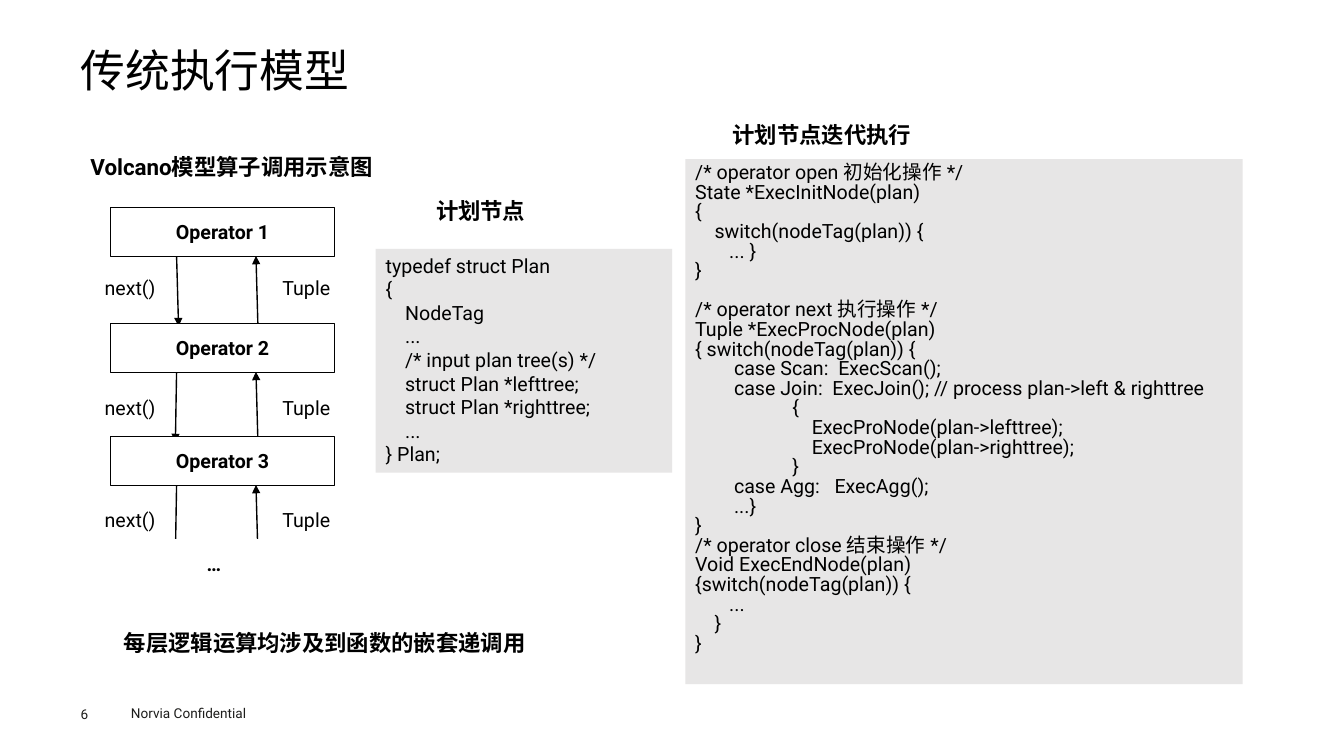
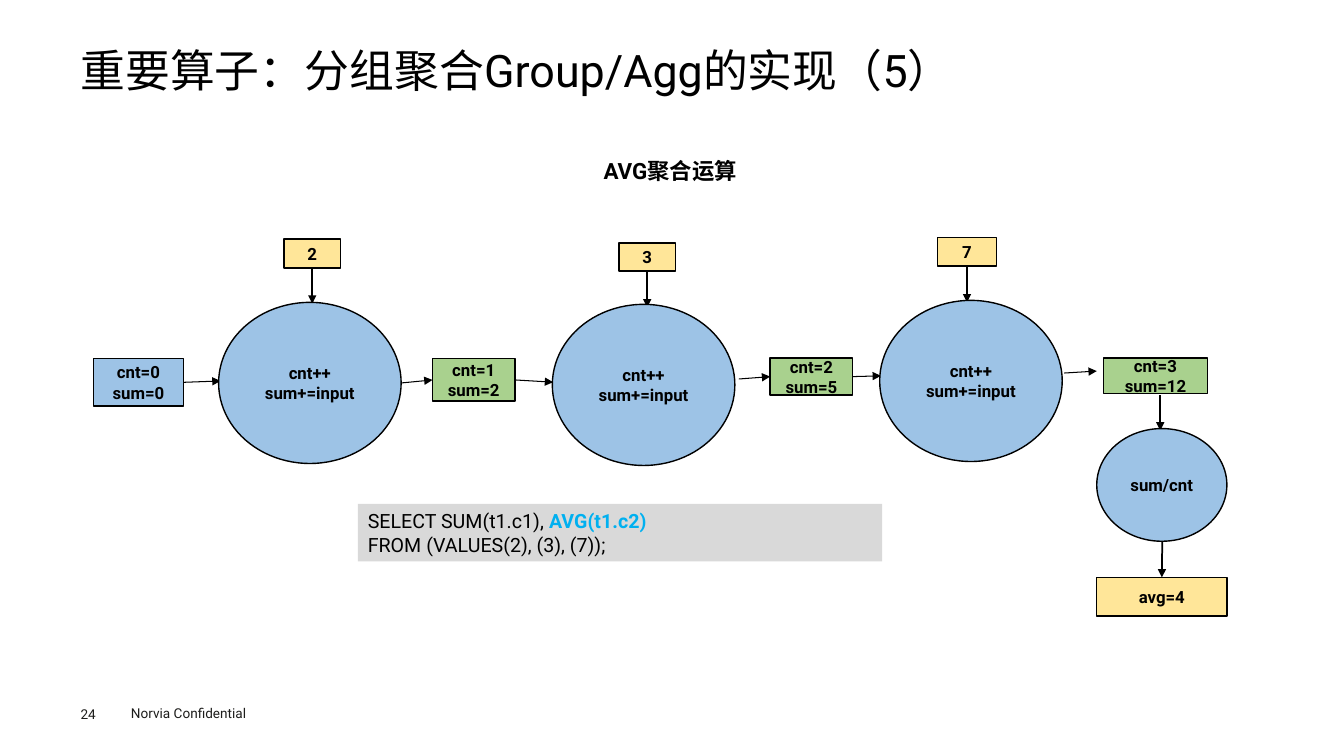
import lxml.etree
import pptx
import pptx.dml.color
import pptx.enum.shapes
import pptx.enum.text
import pptx.oxml.ns
import pptx.util

Cm = pptx.util.Cm
Pt = pptx.util.Pt
RGBColor = pptx.dml.color.RGBColor
Shape = pptx.enum.shapes.MSO_SHAPE
Align = pptx.enum.text.PP_ALIGN
Anchor = pptx.enum.text.MSO_ANCHOR

BLACK = RGBColor(0x00, 0x00, 0x00)
WHITE = RGBColor(0xFF, 0xFF, 0xFF)
FOOTER_GREY = RGBColor(0x1D, 0x1D, 0x1B)
CODE_GREY = RGBColor(0xE7, 0xE6, 0xE6)
QUERY_GREY = RGBColor(0xD9, 0xD9, 0xD9)
BLUE = RGBColor(0x9D, 0xC3, 0xE6)
GREEN = RGBColor(0xA9, 0xD1, 0x8E)
YELLOW = RGBColor(0xFF, 0xE6, 0x99)
CYAN = RGBColor(0x00, 0xB0, 0xF0)

FONT = "Roboto"
TITLE = {"size": Pt(32), "color": BLACK}
HEADING = {"size": Pt(16), "color": BLACK, "bold": True}
BODY = {"size": Pt(14), "color": BLACK}
BODY_BOLD = {**BODY, "bold": True}
NODE = {"size": Pt(12), "color": BLACK, "bold": True}
FOOTER = {"size": Pt(9.7), "color": FOOTER_GREY}
CENTRED = {"alignment": Align.CENTER}
TIGHT = {"line_spacing": Pt(14)}

TOP, LEFT, BOTTOM, RIGHT = range(4)
FOOTER_TEXT = "Norvia Confidential"

# Slide 6: places are left, top, width, height in centimetres
VOLCANO_TITLE = "传统执行模型"
VOLCANO_HEADINGS = [
    ("Volcano模型算子调用示意图", (2.03, 3.73, 8.79, 0.94)),
    ("计划节点", (10.74, 4.85, 5.64, 0.94)),
    ("计划节点迭代执行", (18.21, 2.92, 5.64, 0.94)),
    ("每层逻辑运算均涉及到函数的嵌套递调用", (2.87, 15.72, 10.85, 0.94)),
]
# name, box top, label top, x where the call arrow ends
OPERATORS = [
    ("Operator 1", 5.23, 6.76, 4.5),
    ("Operator 2", 8.15, 9.78, 4.42),
    ("Operator 3", 11.0, 12.62, 4.42),
]
OPERATOR_LEFT, OPERATOR_WIDTH, OPERATOR_HEIGHT = 2.79, 5.64, 1.24
ARROW_LENGTH = 1.77
LABEL_SIZE = (2.24, 0.97)
PLAN_PLACE = (9.47, 6.27, 7.47, 5.64)
PLAN_CODE = [
    "typedef struct Plan",
    "{",
    "    NodeTag",
    "    ...",
    "    /* input plan tree(s) */",
    "    struct Plan *lefttree;",
    "    struct Plan *righttree;",
    "    ...",
    "} Plan;",
]
EXEC_PLACE = (17.27, 4.01, 14.05, 13.23)
INIT_CODE = [
    "/* operator open 初始化操作 */",
    "State *ExecInitNode(plan)",
    "{",
    "    switch(nodeTag(plan)) {",
    "       ... }",
    "}",
]
NEXT_AND_CLOSE_CODE = [
    "/* operator next 执行操作 */",
    "Tuple *ExecProcNode(plan)",
    "{ switch(nodeTag(plan)) {",
    "        case Scan:  ExecScan();",
    "        case Join:  ExecJoin(); // process plan->left & righttree",
    "                    {",
    "                        ExecProNode(plan->lefttree);",
    "                        ExecProNode(plan->righttree);",
    "                    }",
    "        case Agg:   ExecAgg();",
    "        ...}",
    "}",
    "/* operator close 结束操作 */",
    "Void ExecEndNode(plan)",
    "{switch(nodeTag(plan)) {",
    "       ...",
    "    }",
    "}",
]

# Slide 24
AVG_TITLE = "重要算子：分组聚合Group/Agg的实现（5）"
AVG_HEADING = ("AVG聚合运算", (14.96, 3.84, 3.96, 0.94))
QUERY_PLACE = (9.02, 12.7, 13.21, 1.45)
QUERY = [
    [("SELECT SUM(t1.c1), ", {}), ("AVG(t1.c2)", {"color": CYAN, "bold": True})],
    "FROM (VALUES(2), (3), (7));",
]
STATE_BOXES = {
    "start": (["cnt=0", "sum=0"], BLUE, (2.36, 9.04, 2.26, 1.19)),
    "state 1": (["cnt=1", "sum=2"], GREEN, (10.9, 9.04, 2.08, 1.07)),
    "state 2": (["cnt=2", "sum=5"], GREEN, (19.41, 9.02, 2.08, 0.94)),
    "state 3": (["cnt=3", "sum=12"], GREEN, (27.81, 9.02, 2.62, 0.89)),
    "input 1": (["2"], YELLOW, (7.16, 6.02, 1.42, 0.74)),
    "input 2": (["3"], YELLOW, (15.6, 6.12, 1.42, 0.71)),
    "input 3": (["7"], YELLOW, (23.62, 5.99, 1.5, 0.71)),
    "result": (["avg=4"], YELLOW, (27.64, 14.55, 3.28, 0.97)),
}
STEP = ["cnt++", "sum+=input"]
CIRCLES = [
    (STEP, (5.51, 7.62, 4.6, 4.06)),
    (STEP, (13.92, 7.67, 4.6, 4.06)),
    (STEP, (22.17, 7.57, 4.6, 4.06)),
    (["sum/cnt"], (27.64, 10.8, 3.28, 2.84)),
]
# An end is a point, or a box name with the side to join
FLOW_ARROWS = [
    (("start", RIGHT), (5.56, 9.6)),
    ((10.11, 9.65), ("state 1", LEFT)),
    (("state 1", RIGHT), (13.94, 9.63)),
    ((18.62, 9.55), ("state 2", LEFT)),
    (("state 2", RIGHT), (22.2, 9.47)),
    ((26.82, 9.4), (27.64, 9.35)),
]
DOWN_ARROWS = [
    (("input 1", BOTTOM), (7.87, 7.65)),
    (("input 2", BOTTOM), (16.31, 7.75)),
    (("input 3", BOTTOM), (24.37, 7.62)),
    ((29.24, 9.96), (29.24, 10.85)),
    ((29.29, 13.64), ("result", TOP)),
]


def add_run(para, text, style):
    span = para.add_run()
    span.text = text
    span.font.name = FONT
    for name, value in style.items():
        if name == "color":
            span.font.color.rgb = value
        else:
            setattr(span.font, name, value)
    east_asian = lxml.etree.SubElement(
        span._r.get_or_add_rPr(), pptx.oxml.ns.qn("a:ea"))
    east_asian.set("typeface", FONT)


def write_lines(box, lines, style, layout=None):
    """Write one paragraph per line; a line is a string or (text, style) runs."""
    frame = box.text_frame
    frame.word_wrap = True
    for index, line in enumerate(lines):
        para = frame.add_paragraph() if index else frame.paragraphs[0]
        for name, value in {"alignment": Align.LEFT, **(layout or {})}.items():
            setattr(para, name, value)
        for text, change in [(line, {})] if isinstance(line, str) else line:
            add_run(para, text, {**style, **change})


def add_text(page, text, place, style, inset=True, layout=None):
    box = page.shapes.add_textbox(*map(Cm, place))
    if not inset:
        for side in ("left", "top", "right", "bottom"):
            setattr(box.text_frame, f"margin_{side}", 0)
    write_lines(box, [text], style, layout)


def add_node(page, lines, place, fill, style, line=None, kind=Shape.RECTANGLE):
    """Add a filled shape with centred text."""
    node = add_panel(page, lines, place, fill, style, CENTRED, kind)
    node.text_frame.vertical_anchor = Anchor.MIDDLE
    if line is not None:
        node.line.color.rgb = line
        node.line.width = Pt(1)
    return node


def add_panel(page, lines, place, fill, style=BODY, layout=None,
              kind=Shape.RECTANGLE):
    """Add a filled shape without outline, its text starting at the top."""
    panel = page.shapes.add_shape(kind, *map(Cm, place))
    panel.shadow.inherit = False
    panel.fill.solid()
    panel.fill.fore_color.rgb = fill
    panel.line.fill.background()
    panel.text_frame.vertical_anchor = Anchor.TOP
    write_lines(panel, lines, style, layout)
    return panel


def add_arrow(page, begin, end, width, boxes=None):
    """Draw an arrow; an end naming one of the boxes is joined to its side."""
    arrow = page.shapes.add_connector(
        pptx.enum.shapes.MSO_CONNECTOR.STRAIGHT, *[
            Cm(0 if isinstance(value, str) else value)
            for value in (*begin, *end)])
    for target, join in ((begin, arrow.begin_connect), (end, arrow.end_connect)):
        if isinstance(target[0], str):
            join(boxes[target[0]], target[1])
    arrow.line.color.rgb = BLACK
    arrow.line.width = Pt(width)
    head = lxml.etree.SubElement(
        arrow.line._get_or_add_ln(), pptx.oxml.ns.qn("a:tailEnd"))
    head.set("type", "triangle")
    lxml.etree.SubElement(arrow._element.spPr, pptx.oxml.ns.qn("a:effectLst"))


def add_page(deck, title, number):
    page = deck.slides.add_slide(deck.slide_layouts[6])
    add_text(page, FOOTER_TEXT, (3.05, 17.65, 4.06, 0.69), FOOTER)
    add_text(page, number, (2.03, 17.78, 1.4, 0.41), FOOTER, inset=False)
    add_text(page, title, (2.03, 1.24, 29.79, 1.37), TITLE, inset=False,
             layout={"line_spacing": 0.9})
    return page


def add_volcano_page(deck):
    page = add_page(deck, VOLCANO_TITLE, "6")
    add_panel(page, PLAN_CODE, PLAN_PLACE, CODE_GREY)
    panel = add_panel(page, INIT_CODE + NEXT_AND_CLOSE_CODE, EXEC_PLACE,
                      CODE_GREY, layout=TIGHT)
    panel.text_frame.paragraphs[len(INIT_CODE)].space_before = Pt(14)
    for text, place in VOLCANO_HEADINGS:
        add_text(page, text, place, HEADING)

    for name, top, label_top, call_end in OPERATORS:
        start = top + OPERATOR_HEIGHT - 0.02
        stop = start + ARROW_LENGTH
        add_arrow(page, (4.45, start), (call_end, stop), 1)
        add_arrow(page, (6.5, stop), (6.45, start), 1)
        for text, left in (("next()", 2.16), ("Tuple", 6.6)):
            add_node(page, [text], (left, label_top, *LABEL_SIZE), WHITE, BODY)
    for name, top, label_top, call_end in OPERATORS:
        place = (OPERATOR_LEFT, top, OPERATOR_WIDTH, OPERATOR_HEIGHT)
        add_node(page, [name], place, WHITE, BODY_BOLD, BLACK)
    add_node(page, ["…"], (2.57, 13.59, OPERATOR_WIDTH, OPERATOR_HEIGHT),
             WHITE, BODY_BOLD, WHITE)


def add_avg_page(deck):
    page = add_page(deck, AVG_TITLE, "24")
    add_panel(page, QUERY, QUERY_PLACE, QUERY_GREY)
    add_text(page, *AVG_HEADING, HEADING)
    boxes = {name: add_node(page, lines, place, fill, NODE, BLACK)
             for name, (lines, fill, place) in STATE_BOXES.items()}
    for arrows, width in ((FLOW_ARROWS, 0.75), (DOWN_ARROWS, 1.25)):
        for begin, end in arrows:
            add_arrow(page, begin, end, width, boxes)
    for lines, place in CIRCLES:
        add_node(page, lines, place, BLUE, NODE, BLACK,
                 Shape.FLOWCHART_CONNECTOR)


def main():
    deck = pptx.Presentation()
    deck.slide_width, deck.slide_height = Cm(33.87), Cm(19.05)
    add_volcano_page(deck)
    add_avg_page(deck)
    deck.save("out.pptx")


if __name__ == "__main__":
    main()
